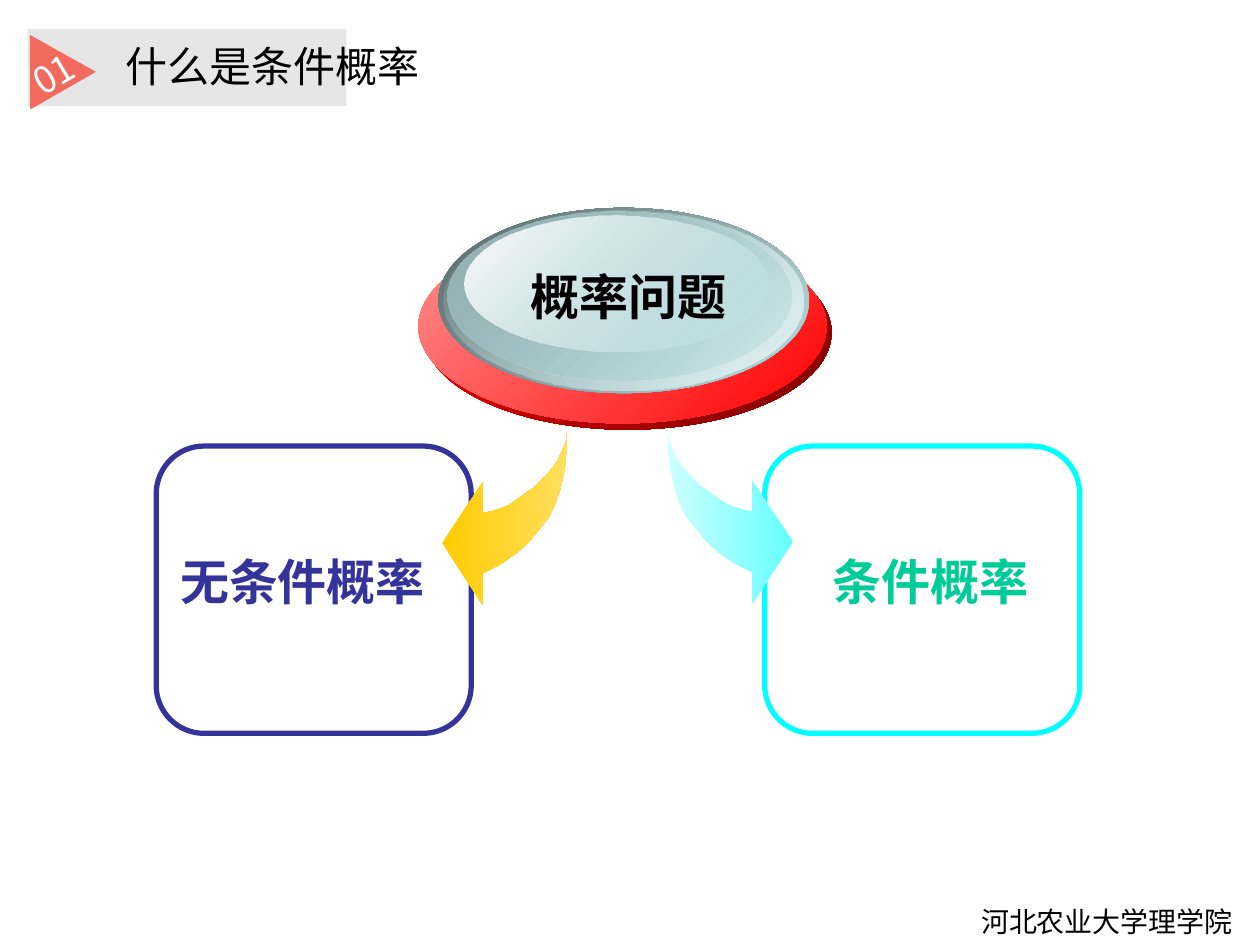
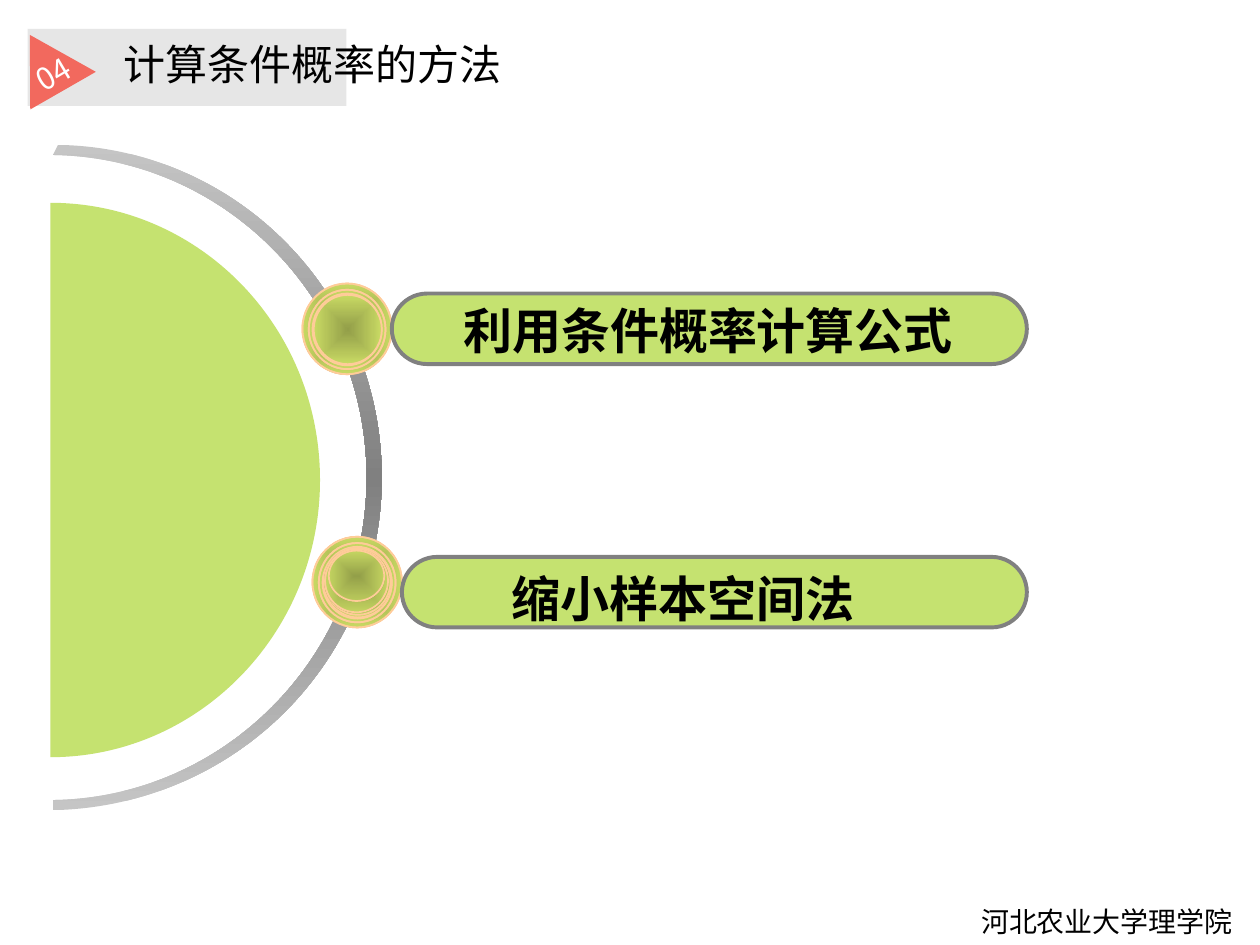
from lxml import etree
from pptx import Presentation
from pptx.dml.color import RGBColor
from pptx.enum.shapes import MSO_SHAPE as Shape
from pptx.enum.text import MSO_ANCHOR as Anchor, MSO_AUTO_SIZE as AutoSize, PP_ALIGN as Align
from pptx.oxml.ns import qn
from pptx.util import Inches, Pt

BLACK = RGBColor(0x00, 0x00, 0x00)
WHITE = RGBColor(0xFF, 0xFF, 0xFF)
BAND = RGBColor(0xE6, 0xE6, 0xE6)
CORAL = RGBColor(0xF2, 0x69, 0x5E)
NAVY = RGBColor(0x33, 0x33, 0x99)
CYAN = RGBColor(0x00, 0xFF, 0xFF)
GREEN = RGBColor(0x00, 0xCC, 0x99)
GOLD = RGBColor(0xFF, 0xCC, 0x00)
PALE_GOLD = RGBColor(0xFF, 0xDF, 0x5D)
AQUA = RGBColor(0x66, 0xFF, 0xFF)
PALE_AQUA = RGBColor(0xCE, 0xFF, 0xFF)
RED = RGBColor(0xFF, 0x00, 0x00)
DARK_RED = RGBColor(0x7C, 0x00, 0x00)
PINK = RGBColor(0xFF, 0x8E, 0x8E)
SLATE = RGBColor(0x57, 0x68, 0x69)
TEAL = RGBColor(0xBB, 0xE0, 0xE3)
PALE_TEAL = RGBColor(0xE7, 0xF4, 0xF5)
MID_TEAL = RGBColor(0x94, 0xB1, 0xB4)
LIME = RGBColor(0x99, 0xCC, 0x00)
OLIVE = RGBColor(0x93, 0x9F, 0x49)
LIGHT_OLIVE = RGBColor(0xC9, 0xDA, 0x64)
PEACH = RGBColor(0xFF, 0xCC, 0x99)
GRAY = RGBColor(0x80, 0x80, 0x80)
SILVER = RGBColor(0xC5, 0xC5, 0xC5)
NOTO = "Noto Sans CJK SC"


def draw(parent, form, place, stops=(), angle=0, line=None, width=1):
    if form is None:
        points = [[Inches(value) for value in point] for point in place]
        builder = parent.shapes.build_freeform(*points[0])
        builder.add_line_segments([point[-2:] for point in points[1:]])
        shape = builder.convert_to_shape()
        segments = list(shape._element.iter(qn("a:lnTo")))
        for segment, point in zip(segments, points[1:]):
            if len(point) == 6:
                curve = etree.Element(qn("a:cubicBezTo"))
                for x, y in zip(point[::2], point[1::2]):
                    etree.SubElement(curve, qn("a:pt"), x=str(x - shape.left), y=str(y - shape.top))
                segment.getparent().replace(segment, curve)
    else:
        shape = parent.shapes.add_shape(form, *map(Inches, place))
    shape.shadow.inherit = False
    shape.fill.background()
    if stops:
        properties = shape._element.spPr
        empty = properties.find(qn("a:noFill"))
        paint = etree.Element(qn("a:solidFill" if len(stops) == 1 else "a:gradFill"))
        properties.replace(empty, paint)
        holder = paint
        if len(stops) > 1:
            stop_list = etree.SubElement(paint, qn("a:gsLst"))
        for i, (color, opacity) in enumerate(stops):
            if len(stops) > 1:
                position = str(100000 * i // (len(stops) - 1))
                holder = etree.SubElement(stop_list, qn("a:gs"), pos=position)
            tint = etree.SubElement(holder, qn("a:srgbClr"), val=str(color))
            if opacity < 100:
                etree.SubElement(tint, qn("a:alpha"), val=str(opacity * 1000))
        if len(stops) > 1 and angle is None:
            path = etree.SubElement(paint, qn("a:path"), path="shape")
            etree.SubElement(path, qn("a:fillToRect"), dict.fromkeys("ltrb", "50000"))
        elif len(stops) > 1:
            etree.SubElement(paint, qn("a:lin"), ang=str(angle * 60000), scaled="0")
    if line is None:
        shape.line.fill.background()
    else:
        shape.line.color.rgb = line
        shape.line.width = Pt(width)
    return shape


def write(shape, text, size, color=BLACK, name=NOTO, bold=False, align=Align.LEFT,
          anchor=Anchor.TOP, margins=(0.1, 0.05, 0.1, 0.05), fit=AutoSize.SHAPE_TO_FIT_TEXT):
    frame = shape.text_frame
    layout = {"word_wrap": True, "auto_size": fit, "vertical_anchor": anchor}
    for side, inset in zip(("left", "top", "right", "bottom"), margins):
        layout[f"margin_{side}"] = Inches(inset)
    for attribute, value in layout.items():
        setattr(frame, attribute, value)
    paragraph = frame.paragraphs[0]
    paragraph.alignment = align
    run = paragraph.add_run()
    run.text = text
    for attribute, value in {"size": Pt(size), "name": name, "bold": bold}.items():
        setattr(run.font, attribute, value)
    run.font.color.rgb = color
    etree.SubElement(run._r.get_or_add_rPr(), qn("a:ea"), typeface=NOTO)


deck = Presentation()
deck.slide_width, deck.slide_height = Inches(10), Inches(7.5)
concept, methods = [deck.slides.add_slide(deck.slide_layouts[6]) for _ in range(2)]

for slide in (concept, methods):
    draw(slide, Shape.RECTANGLE, (0.22, 0.23, 2.53, 0.61), [(BAND, 100)])
    footer = slide.shapes.add_textbox(*map(Inches, (4.37, 7.13, 5.51, 0.37)))
    write(footer, "河北农业大学理学院", 16, align=Align.RIGHT)

arrow = [
    (4.5, 3.44), (4.5, 3.59), (4.48, 3.73), (4.45, 3.87), (4.41, 3.99), (4.36, 4.1),
    (4.28, 4.2), (4.2, 4.3), (4.1, 4.39), (3.97, 4.48), (3.83, 4.55), (3.83, 4.8),
    (3.51, 4.31), (3.83, 3.83), (3.83, 4.07), (3.9, 4.06), (3.96, 4.04), (4.04, 4.01),
    (4.11, 3.96), (4.18, 3.91), (4.25, 3.86), (4.32, 3.79), (4.38, 3.72), (4.43, 3.65),
    (4.46, 3.58), (4.49, 3.51), (4.5, 3.44),
]
mirrored_arrow = [(9.8 - x, y - 0.01) for x, y in arrow]
branches = [
    (1.24, NAVY, arrow, [(GOLD, 100), (PALE_GOLD, 100)],
     "无条件概率", NAVY, (1.21, 4.33, 2.47, 0.57)),
    (6.07, CYAN, mirrored_arrow, [(PALE_AQUA, 100), (AQUA, 100)],
     "条件概率", GREEN, (6.39, 4.33, 2.23, 0.57)),
]
for left, border, outline, stops, text, color, place in branches:
    branch = concept.shapes.add_group_shape()
    draw(branch, Shape.ROUNDED_RECTANGLE, (left, 3.54, 2.5, 2.28), line=border, width=3)
    label = branch.shapes.add_textbox(*map(Inches, place))
    write(label, text, 28, color, "Arial", True, margins=(0.22, 0.05, 0.1, 0.05))
    draw(branch, None, outline, stops)

button_layers = [
    ((3.36, 1.87, 3.24, 1.54), [(RED, 100), (DARK_RED, 100)]),
    ((3.32, 1.82, 3.24, 1.54), [(PINK, 100), (RED, 100)]),
    ((3.48, 1.65, 2.94, 1.47), [(SLATE, 100), (TEAL, 100)]),
    ((3.52, 1.67, 2.86, 1.43), [(TEAL, 0), (PALE_TEAL, 100)]),
    ((3.55, 1.68, 2.73, 1.34), [(MID_TEAL, 100), (TEAL, 48)]),
    ((3.69, 1.71, 2.4, 1.08), [(WHITE, 100), (TEAL, 38)]),
]
button = concept.shapes.add_group_shape()
for place, stops in button_layers:
    draw(button, Shape.OVAL, place, stops, 45)
topic = button.shapes.add_textbox(*map(Inches, (3.96, 2.07, 2.05, 0.57)))
write(topic, "概率问题", 28, name="Arial", bold=True, align=Align.CENTER)

half_ring = [
    (0.42, 1.23), (1.8, 1.25, 2.91, 2.39, 2.91, 3.79), (2.91, 5.19, 1.8, 6.33, 0.42, 6.35),
    (0.42, 6.43), (1.88, 6.4, 3.03, 5.23, 3.03, 3.79), (3.03, 2.34, 1.88, 1.17, 0.46, 1.15),
]
draw(methods, None, half_ring, [(SILVER, 100), (GRAY, 100), (SILVER, 100)], 90)

rings = [
    (0, 0, 0.71, 0.72, 100), (0, 0, 0.71, 0.72, 32),
    (0.05, 0.05, 0.61, 0.63, 100), (0.05, 0.05, 0.61, 0.63, 0),
    (0.08, 0.08, 0.55, 0.57, 100), (0.1, 0.09, 0.52, 0.53, 0),
    (0.1, 0.1, 0.5, 0.5, 48), (0.13, 0.11, 0.44, 0.4, 38),
]
cap = (0.09, 0.09, 0.54, 0.55, 100)
method_rows = [
    (2.4, 2.25, rings + [cap], (3.11, 2.33, 5.04, 0.56)),
    (2.48, 4.26, rings[:5] + [cap] + rings[5:], (3.19, 4.42, 4.96, 0.56)),
]
for left, top, layers, pill_place in method_rows:
    row = methods.shapes.add_group_shape()
    for dx, dy, width, height, opacity in layers:
        draw(row, Shape.OVAL, (left + dx, top + dy, width, height),
             [(OLIVE, 100), (LIGHT_OLIVE, opacity)], None, PEACH)
    pill = draw(row, Shape.ROUNDED_RECTANGLE, pill_place, [(LIME, 56)], line=GRAY, width=2.25)
    pill.adjustments[0] = 0.5

half_disc = [
    (0.4, 1.61), (1.58, 1.61, 2.54, 2.59, 2.54, 3.81), (2.54, 5.02, 1.58, 6.01, 0.4, 6.01),
]
draw(methods, None, half_disc, [(LIME, 56)])

method_names = [
    ("利用条件概率计算公式", NOTO, (3.58, 2.33, 4.96, 0.57), 0.1),
    ("缩小样本空间法", "Arial", (3.35, 4.46, 5.28, 0.57), 0.71),
]
for text, font_name, place, indent in method_names:
    method = methods.shapes.add_textbox(*map(Inches, place))
    write(method, text, 28, name=font_name, bold=True, anchor=Anchor.MIDDLE,
          margins=(indent, 0.05, 0.1, 0.05))

headers = [
    (concept, "01", 21, "什么是条件概率", (1, 0.28, 2.97, 0.49)),
    (methods, "04", 17.4, "计算条件概率的方法", (0.98, 0.26, 3.44, 0.49)),
]
for slide, number, number_size, title, title_place in headers:
    heading = slide.shapes.add_textbox(*map(Inches, title_place))
    write(heading, title, 24, anchor=Anchor.MIDDLE, margins=(0, 0, 0, 0), fit=AutoSize.NONE)
    tag = draw(slide, None, [(0.37, 0.24), (0.67, 0.76), (0.07, 0.75)], [(CORAL, 100)])
    tag.rotation = 329.2
    write(tag, number, number_size, WHITE, align=Align.CENTER, anchor=Anchor.MIDDLE,
          margins=(0, 0.2, 0, 0), fit=AutoSize.NONE)

deck.save("out.pptx")
